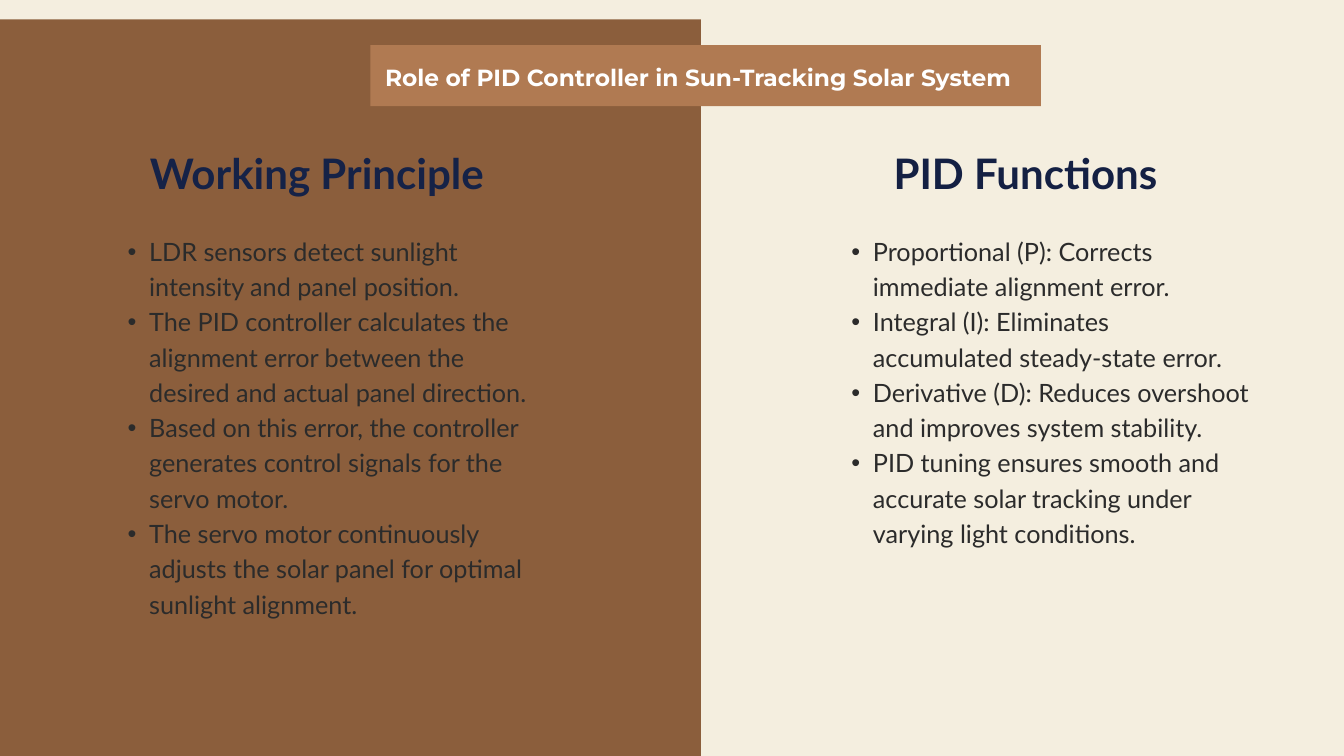
from lxml.etree import SubElement
from pptx import Presentation
from pptx.dml.color import RGBColor
from pptx.enum.shapes import MSO_SHAPE
from pptx.enum.text import MSO_AUTO_SIZE, PP_ALIGN
from pptx.oxml.ns import qn
from pptx.util import Inches, Pt

COLORS = {
    "cream": "F4EEDF",
    "brown": "8B5E3C",
    "tan": "B07A52",
    "white": "FFFFFF",
    "navy": "152247",
    "deep_navy": "142043",
    "charcoal": "2B2B2B",
}

WORKING_PRINCIPLE = [
    "LDR sensors detect sunlight intensity and panel position.",
    "The PID controller calculates the alignment error between the desired and actual panel direction.",
    "Based on this error, the controller generates control signals for the servo motor.",
    "The servo motor continuously adjusts the solar panel for optimal sunlight alignment.",
]
PID_FUNCTIONS = [
    "Proportional (P): Corrects immediate alignment error.",
    "Integral (I): Eliminates accumulated steady-state error.",
    "Derivative (D): Reduces overshoot and improves system stability.",
    "PID tuning ensures smooth and accurate solar tracking under varying light conditions.",
]


class SlideBuilder:
    """Holds the slide and its shared text style."""

    body_font = "Lato"
    title_font = "Montserrat"
    line_factor = 1.4  # line spacing relative to text size

    def __init__(self, slide):
        self.slide = slide

    def color(self, name):
        return RGBColor.from_string(COLORS[name])

    def background(self, color):
        fill = self.slide.background.fill
        fill.solid()
        fill.fore_color.rgb = self.color(color)

    def block(self, left, top, width, height, color):
        block = self.slide.shapes.add_shape(
            MSO_SHAPE.RECTANGLE, Inches(left), Inches(top), Inches(width), Inches(height))
        block.shadow.inherit = False
        block.fill.solid()
        block.fill.fore_color.rgb = self.color(color)
        block.line.fill.background()

    def text(self, left, top, width, height, lines, size, color,
             font=body_font, bold=False, align=PP_ALIGN.LEFT, bulleted=False):
        frame = self.slide.shapes.add_textbox(
            Inches(left), Inches(top), Inches(width), Inches(height)).text_frame
        frame.margin_left = frame.margin_right = frame.margin_top = frame.margin_bottom = 0
        frame.word_wrap = True
        frame.auto_size = MSO_AUTO_SIZE.SHAPE_TO_FIT_TEXT
        frame.text = "\n".join(lines)
        for paragraph in frame.paragraphs:
            paragraph.alignment = align
            paragraph.line_spacing = Pt(size * self.line_factor)
            if bulleted:
                self.bullet(paragraph)
            paragraph.font.name = font
            paragraph.font.size = Pt(size)
            paragraph.font.bold = bold
            paragraph.font.color.rgb = self.color(color)

    def bullet(self, paragraph):
        paragraph.level = 1
        properties = paragraph._p.get_or_add_pPr()
        properties.set("marL", str(Inches(0.64)))
        properties.set("indent", str(Inches(-0.32)))
        SubElement(properties, qn("a:buFont")).set("typeface", "Arial")
        SubElement(properties, qn("a:buChar")).set("char", "•")

    def heading(self, left, width, words, color):
        self.text(left, 2.07, width, 0.84, [words], 45, color,
                  bold=True, align=PP_ALIGN.CENTER)

    def bullets(self, left, height, items):
        self.text(left, 3.44, 6.28, height, items, 27, "charcoal", bulleted=True)


def main():
    presentation = Presentation()
    presentation.slide_width = Inches(20)
    presentation.slide_height = Inches(11.25)
    builder = SlideBuilder(presentation.slides.add_slide(presentation.slide_layouts[6]))

    # Background and left panel
    builder.background("cream")
    builder.block(-0.13, 0.29, 10.56, 13.02, "brown")

    # Title banner
    builder.block(5.51, 0.67, 9.98, 0.91, "tan")
    builder.text(5.73, 0.87, 9.52, 0.46,
                 ["Role of PID Controller in Sun-Tracking Solar System"],
                 25, "white", font=builder.title_font, bold=True)

    # Left column
    builder.heading(2.03, 5.37, "Working Principle", "navy")
    builder.bullets(1.58, 6.76, WORKING_PRINCIPLE)

    # Right column
    builder.heading(13.13, 4.26, "PID Functions", "deep_navy")
    builder.bullets(12.35, 6.24, PID_FUNCTIONS)

    presentation.save("out.pptx")


if __name__ == "__main__":
    main()
